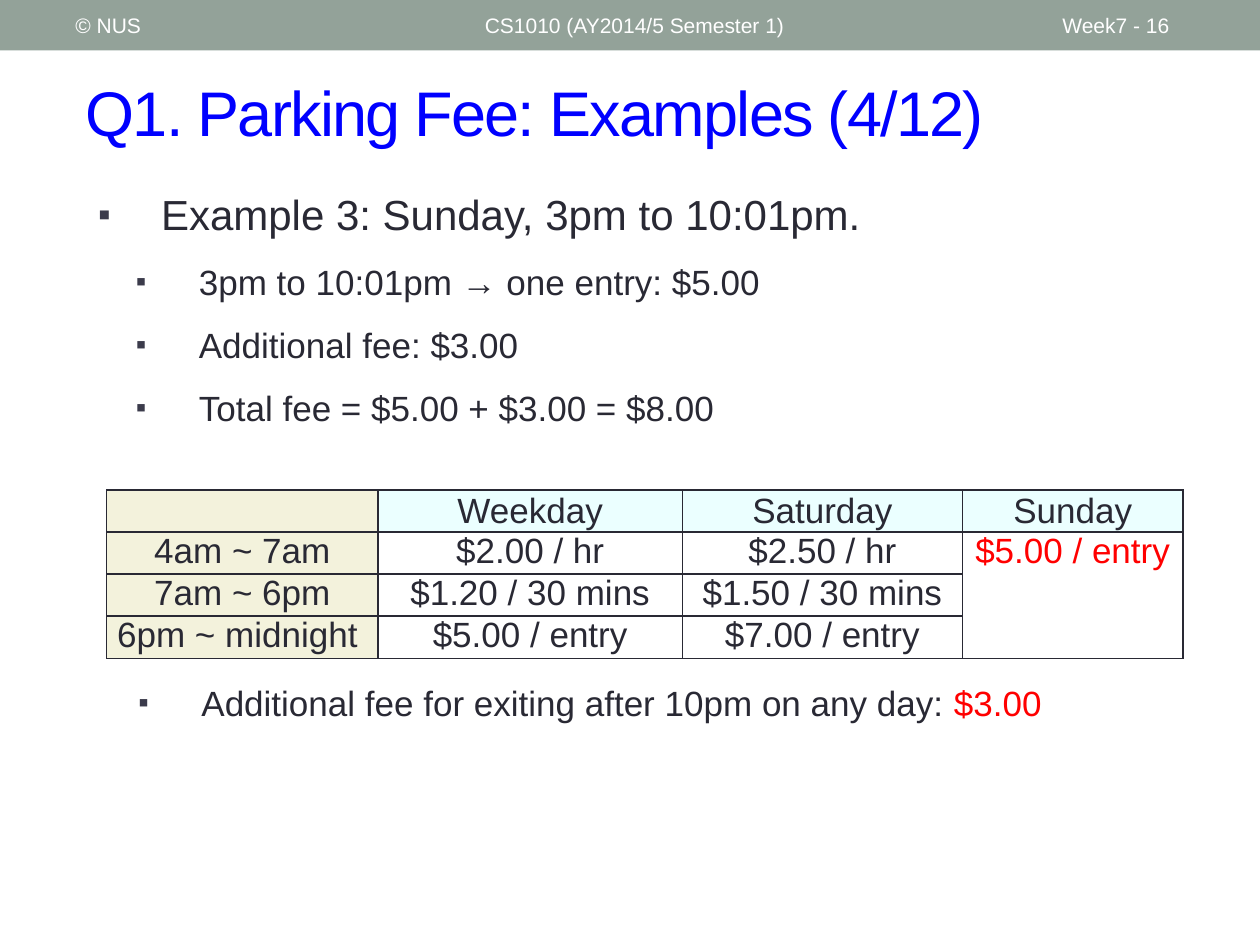
"""Build the parking fee example slide with its rate table."""
from lxml import etree
from pptx import Presentation
from pptx.dml.color import RGBColor
from pptx.enum.shapes import MSO_SHAPE
from pptx.enum.text import MSO_ANCHOR, MSO_AUTO_SIZE, PP_ALIGN
from pptx.oxml.ns import qn
from pptx.util import Pt

RECTANGLE = MSO_SHAPE.RECTANGLE
TOP, MIDDLE = MSO_ANCHOR.TOP, MSO_ANCHOR.MIDDLE
CENTER, JUSTIFY = PP_ALIGN.CENTER, PP_ALIGN.JUSTIFY
GROW = MSO_AUTO_SIZE.SHAPE_TO_FIT_TEXT

SAGE = RGBColor(0x93, 0xA2, 0x99)
INK = RGBColor(0x29, 0x29, 0x34)
BULLET = RGBColor(0x3B, 0x3B, 0x4B)
BLUE = RGBColor(0x00, 0x00, 0xFF)
RED = RGBColor(0xFF, 0x00, 0x00)
WHITE = RGBColor(0xFF, 0xFF, 0xFF)
CREAM = RGBColor(0xF3, 0xF2, 0xDC)
ICE = RGBColor(0xEB, 0xFF, 0xFF)

HEADER = {"name": "Arial", "size": Pt(12), "color": WHITE}
TITLE = {"name": "Arial", "size": Pt(36), "color": BLUE}
MAIN = {"name": "Arial", "size": Pt(24), "color": INK}
DETAIL = {"name": "Arial", "size": Pt(20), "color": INK}
ALERT = {**DETAIL, "color": RED}


def add_span(para, text, style):
    span = para.add_run()
    span.text = text
    for key, value in style.items():
        if key == "color":
            span.font.color.rgb = value
        else:
            setattr(span.font, key, value)
    return span


def add_bullet(para, level):
    para.level = level
    para.alignment = JUSTIFY
    properties = para._p.get_or_add_pPr()
    properties.set("marL", str(Pt(57.6 if level else 36)))
    properties.set("indent", str(Pt(-36)))
    color = etree.SubElement(properties, qn("a:buClr"))
    etree.SubElement(color, qn("a:srgbClr"), val=str(BULLET))
    etree.SubElement(properties, qn("a:buSzPct"), val="85000")
    etree.SubElement(properties, qn("a:buFont"), typeface="Arial")
    etree.SubElement(properties, qn("a:buChar"), char="▪")


deck = Presentation()
deck.slide_width, deck.slide_height = Pt(720), Pt(540)
slide = deck.slides.add_slide(deck.slide_layouts[6])

band = slide.shapes.add_shape(RECTANGLE, Pt(0), Pt(0), Pt(720), Pt(28.8))
band.shadow.inherit = False
band.fill.solid()
band.fill.fore_color.rgb = SAGE
band.line.fill.background()

LINES = [
    ("© NUS", HEADER, 36, 1.44, 228, 25.92),
    ("CS1010 (AY2014/5 Semester 1)", HEADER, 270, 1.44, 324, 25.92),
    ("Week7 - 16", HEADER, 600, 1.44, 84, 25.92),
    ("Q1. Parking Fee: Examples (4/12)", TITLE, 41.76, 30.24, 660, 66.24),
]
for text, style, *place in LINES:
    box = slide.shapes.add_textbox(*map(Pt, place))
    box.text_frame.word_wrap = True
    box.text_frame.vertical_anchor = MIDDLE
    span = add_span(box.text_frame.paragraphs[0], text, style)
    if style is TITLE:
        span.font._element.set("spc", "-100")

EXAMPLE = [
    (0, [("Example 3: Sunday, 3pm to 10:01pm.", MAIN)]),
    (1, [("3pm to 10:01pm → one entry: $5.00", DETAIL)]),
    (1, [("Additional fee: $3.00", DETAIL)]),
    (1, [("Total fee = $5.00 + $3.00 = $8.00", DETAIL)]),
]
SURCHARGE = [
    (1, [("Additional fee for exiting after 10pm on any day: ", DETAIL), ("$3.00", ALERT)]),
]
BULLET_BOXES = [
    (EXAMPLE, 48.96, 104.4, 641.5, 160.5),
    (SURCHARGE, 50.4, 385.9, 596.9, 31.7),
]
for items, *place in BULLET_BOXES:
    box = slide.shapes.add_textbox(*map(Pt, place))
    frame = box.text_frame
    frame.word_wrap = True
    if items is SURCHARGE:
        frame.auto_size = GROW
    for index, (level, spans) in enumerate(items):
        para = frame.add_paragraph() if index else frame.paragraphs[0]
        add_bullet(para, level)
        if index:
            para.space_before = Pt(12)
        for text, style in spans:
            add_span(para, text, style)

RATES = [
    ["", "Weekday", "Saturday", "Sunday"],
    ["4am ~ 7am", "$2.00 / hr", "$2.50 / hr", "$5.00 / entry"],
    ["7am ~ 6pm", "$1.20 / 30 mins", "$1.50 / 30 mins", ""],
    ["6pm ~ midnight ", "$5.00 / entry", "$7.00 / entry", ""],
]
WIDTHS = [155, 174, 160, 126]
ROW_HEIGHT = 22.4
frame = slide.shapes.add_table(
    len(RATES), len(WIDTHS), Pt(61), Pt(280), Pt(sum(WIDTHS)), Pt(ROW_HEIGHT * len(RATES))
)
table = frame.table
table.first_row = table.horz_banding = False
for column, width in zip(table.columns, WIDTHS):
    column.width = Pt(width)
table.cell(1, 3).merge(table.cell(3, 3))

CELL = {"margin_left": Pt(5), "margin_right": Pt(5), "margin_top": 0, "margin_bottom": 0}
for row_index, row in enumerate(RATES):
    table.rows[row_index].height = Pt(ROW_HEIGHT)
    for column_index, text in enumerate(row):
        cell = table.cell(row_index, column_index)
        for key, value in CELL.items():
            setattr(cell, key, value)
        cell.vertical_anchor = TOP if row_index else MIDDLE
        properties = cell._tc.get_or_add_tcPr()
        for side in ("lnL", "lnR", "lnT", "lnB"):
            border = etree.SubElement(properties, qn(f"a:{side}"), w=str(Pt(1)))
            paint = etree.SubElement(border, qn("a:solidFill"))
            etree.SubElement(paint, qn("a:srgbClr"), val=str(INK))
        if column_index and row_index:
            cell.fill.background()
        else:
            cell.fill.solid()
            cell.fill.fore_color.rgb = ICE if column_index else CREAM
        para = cell.text_frame.paragraphs[0]
        para.alignment = CENTER
        para.font.size = DETAIL["size"]
        if text:
            add_span(para, text, ALERT if (row_index, column_index) == (1, 3) else DETAIL)

deck.save("out.pptx")
